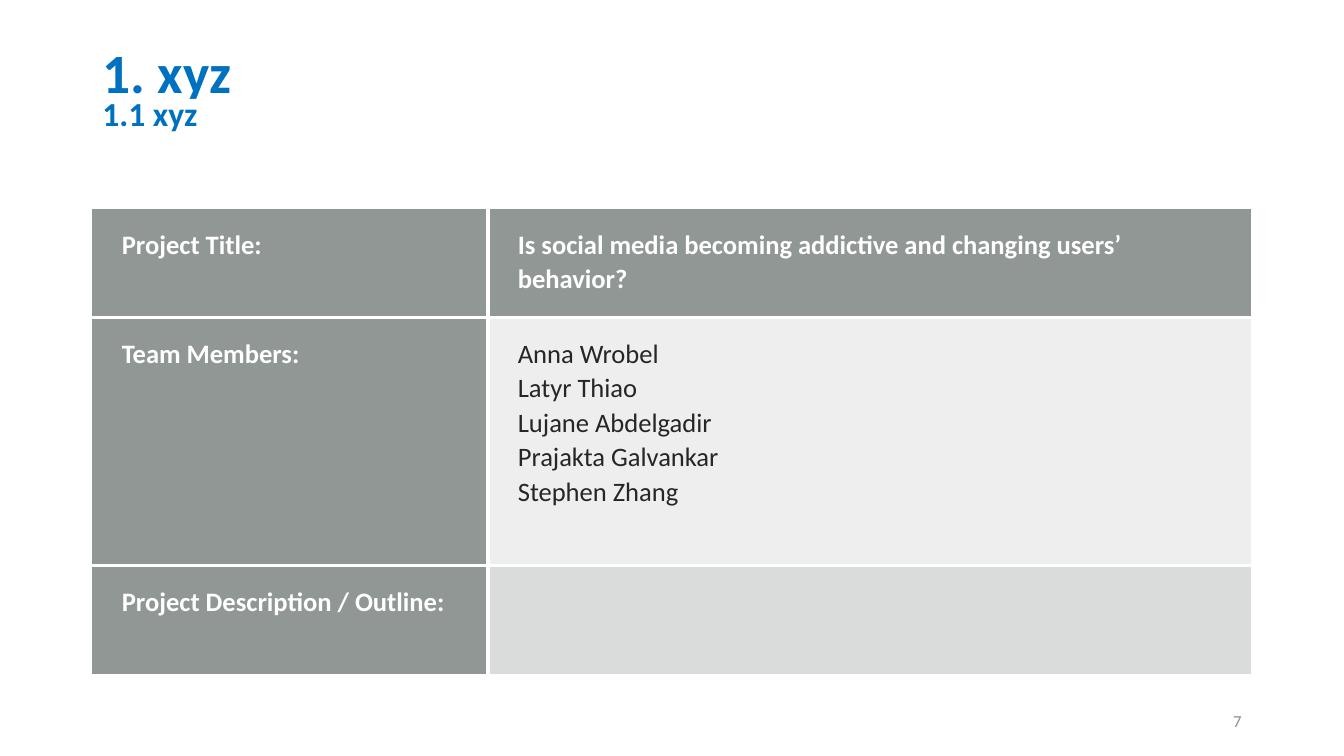
from lxml.etree import SubElement
from pptx import Presentation
from pptx.dml.color import RGBColor
from pptx.enum.shapes import MSO_SHAPE
from pptx.enum.text import MSO_ANCHOR, PP_ALIGN
from pptx.oxml import parse_xml
from pptx.oxml.ns import nsdecls, qn
from pptx.util import Cm, Pt

COLORS = {"blue": "0070C0", "white": "FFFFFF", "ink": "262626",
          "number": "8C8C8C", "header": "636B68", "body": "878E8B"}
FONT = "Calibri"
TITLE, SUBTITLE, PAGE_NUMBER = "1. xyz", "1.1 xyz", "7"
MEMBERS = ["Anna Wrobel", "Latyr Thiao", "Lujane Abdelgadir",
           "Prajakta Galvankar", "Stephen Zhang"]
HEADER_STYLE = ("header", 70, "white", True)
ROWS = [
    [(["Project Title:"], HEADER_STYLE),
     (["Is social media becoming addictive and changing users’ behavior?"], HEADER_STYLE)],
    [(["Team Members:"], HEADER_STYLE), (MEMBERS, ("body", 15, "ink", False))],
    [(["Project Description / Outline:"], HEADER_STYLE),
     ([], ("body", 30, "ink", False))],
]
COLUMN_WIDTHS = [9.98, 19.25]
ROW_HEIGHTS = [2.74, 6.25, 2.74]
TABLE_LEFT, TABLE_TOP = 2.31, 5.26


def add_span(para, text, size, color, bold):
    span = para.add_run()
    span.text = text
    span.font.name = FONT
    span.font.size = Pt(size)
    span.font.bold = bold
    span.font.color.rgb = RGBColor.from_string(COLORS[color])


def write_lines(frame, lines, size, color, bold, spacing, align=PP_ALIGN.LEFT):
    for index, line in enumerate(lines):
        para = frame.paragraphs[0] if index == 0 else frame.add_paragraph()
        para.alignment = align
        para.line_spacing = spacing
        add_span(para, line, size, color, bold)


def add_line_of_text(shape, text, size, color, bold, spacing, align=PP_ALIGN.LEFT):
    frame = shape.text_frame
    frame.word_wrap = True
    frame.vertical_anchor = MSO_ANCHOR.MIDDLE
    write_lines(frame, [text], size, color, bold, spacing, align)


def add_border(cell, side, position):
    cell._tc.get_or_add_tcPr().insert(position, parse_xml(
        f'<a:{side} {nsdecls("a")} w="{Pt(3)}"><a:solidFill>'
        f'<a:srgbClr val="{COLORS["white"]}"/></a:solidFill></a:{side}>'))


def fill_cell(cell, lines, style, sides):
    fill, opacity, color, bold = style
    cell.margin_left = Cm(0.76)
    cell.margin_right = cell.margin_top = cell.margin_bottom = Cm(0.46)
    cell.fill.solid()
    cell.fill.fore_color.rgb = RGBColor.from_string(COLORS[fill])
    tint = cell._tc.tcPr.find(".//" + qn("a:srgbClr"))
    SubElement(tint, qn("a:alpha"), val=str(opacity * 1000))
    for position, side in enumerate(sides):
        add_border(cell, side, position)
    write_lines(cell.text_frame, lines, 19, color, bold, 1.07)


def add_project_table(page):
    table = page.shapes.add_table(
        len(ROWS), len(COLUMN_WIDTHS), Cm(TABLE_LEFT), Cm(TABLE_TOP),
        Cm(sum(COLUMN_WIDTHS)), Cm(sum(ROW_HEIGHTS))).table
    table.first_row = table.horz_banding = False
    for column, width in zip(table.columns, COLUMN_WIDTHS):
        column.width = Cm(width)
    for row, height in zip(table.rows, ROW_HEIGHTS):
        row.height = Cm(height)
    for r, row in enumerate(ROWS):
        for c, (lines, style) in enumerate(row):
            inner = {"lnL": c > 0, "lnR": c < len(row) - 1,
                     "lnT": r > 0, "lnB": r < len(ROWS) - 1}
            fill_cell(table.cell(r, c), lines, style,
                      [side for side, shown in inner.items() if shown])


def main():
    """Build the project overview slide."""
    deck = Presentation()
    deck.slide_width, deck.slide_height = Cm(33.87), Cm(19.05)
    page = deck.slides.add_slide(deck.slide_layouts[6])
    add_project_table(page)
    number_box = page.shapes.add_textbox(Cm(23.92), Cm(17.66), Cm(7.62), Cm(1.01))
    add_line_of_text(number_box, PAGE_NUMBER, 12, "number", False, 1.0, PP_ALIGN.RIGHT)
    title_box = page.shapes.add_textbox(Cm(2.33), Cm(1.22), Cm(29.21), Cm(1.37))
    add_line_of_text(title_box, TITLE, 39.6, "blue", True, 0.9)
    subtitle = page.shapes.add_shape(
        MSO_SHAPE.RECTANGLE, Cm(2.33), Cm(2.49), Cm(29.21), Cm(0.84))
    subtitle.shadow.inherit = False
    subtitle.fill.solid()
    subtitle.fill.fore_color.rgb = RGBColor.from_string(COLORS["white"])
    subtitle.line.fill.background()
    add_line_of_text(subtitle, SUBTITLE, 24, "blue", True, 0.9)
    deck.save("out.pptx")


if __name__ == "__main__":
    main()
